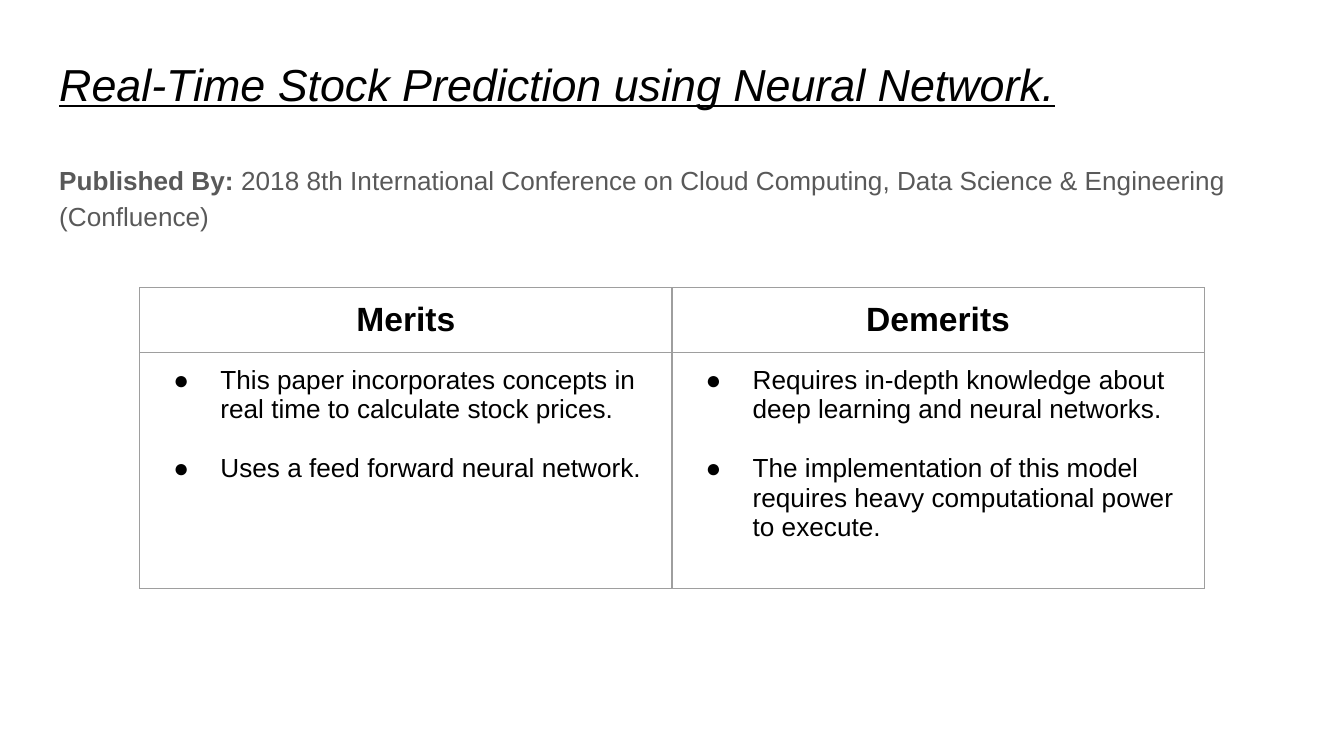
from dataclasses import dataclass

from lxml.etree import SubElement
from pptx import Presentation
from pptx.dml.color import RGBColor
from pptx.enum.text import MSO_ANCHOR, MSO_AUTO_SIZE, PP_ALIGN
from pptx.oxml.ns import qn
from pptx.util import Inches, Pt


@dataclass(frozen=True)
class Theme:
    font: str = "Arial"
    ink: str = "000000"
    muted: str = "595959"
    border: str = "9E9E9E"
    title: int = 24
    heading: int = 18
    body: int = 14
    border_width: float = 0.75
    inset: float = 0.1


THEME = Theme()
SLIDE_WIDTH = 10
SLIDE_HEIGHT = SLIDE_WIDTH * 9 / 16
TITLE = "Real-Time Stock Prediction using Neural Network."
VENUE = (
    "2018 8th International Conference on Cloud Computing, "
    "Data Science & Engineering (Confluence)"
)
COLUMNS = {
    "Merits": [
        "This paper incorporates concepts in real time to calculate stock prices.",
        "Uses a feed forward neural network.",
    ],
    "Demerits": [
        "Requires in-depth knowledge about deep learning and neural networks.",
        "The implementation of this model requires heavy computational power to execute.",
    ],
}


def add_text(p, text, size=THEME.body, color=THEME.ink, bold=False,
             italic=False, underline=False, align=PP_ALIGN.LEFT):
    p.alignment = align
    r = p.add_run()
    r.text = text
    f = r.font
    f.name, f.size = THEME.font, Pt(size)
    f.bold, f.italic, f.underline = bold, italic, underline
    f.color.rgb = RGBColor.from_string(color)


def set_bullet(p, char=None, left=0, indent=0):
    pPr = p._p.get_or_add_pPr()
    pPr.set("marL", str(Inches(left)))
    pPr.set("indent", str(Inches(indent)))
    if char is None:
        SubElement(pPr, qn("a:buNone"))
        return
    color = SubElement(pPr, qn("a:buClr"))
    SubElement(color, qn("a:srgbClr"), val=THEME.ink)
    SubElement(pPr, qn("a:buFont"), typeface=THEME.font)
    SubElement(pPr, qn("a:buChar"), char=char)


def set_borders(cell):
    tcPr = cell._tc.get_or_add_tcPr()
    for index, side in enumerate(("a:lnL", "a:lnR", "a:lnT", "a:lnB")):
        ln = tcPr.makeelement(qn(side), {"w": str(Pt(THEME.border_width))})
        fill = SubElement(ln, qn("a:solidFill"))
        SubElement(fill, qn("a:srgbClr"), val=THEME.border)
        tcPr.insert(index, ln)


def set_insets(box):
    box.margin_left = box.margin_right = Inches(THEME.inset)
    box.margin_top = box.margin_bottom = Inches(THEME.inset)


def place_text(sp, left, top, width, height):
    sp.left, sp.top = Inches(left), Inches(top)
    sp.width, sp.height = Inches(width), Inches(height)
    tf = sp.text_frame
    tf.word_wrap = True
    tf.auto_size = MSO_AUTO_SIZE.NONE
    tf.vertical_anchor = MSO_ANCHOR.TOP
    set_insets(tf)
    return tf.paragraphs[0]


def add_title(s, left, top, width, height):
    p = place_text(s.shapes.title, left, top, width, height)
    add_text(p, TITLE, size=THEME.title, italic=True, underline=True)


def add_publication(s, left, top, width, height):
    p = place_text(s.placeholders[1], left, top, width, height)
    p.line_spacing = 1.15
    p.space_before = Pt(0)
    set_bullet(p)
    add_text(p, "Published By: ", color=THEME.muted, bold=True)
    add_text(p, VENUE, color=THEME.muted)


def fill_cell(cell, items, bulleted):
    cell.fill.background()
    set_borders(cell)
    set_insets(cell)
    tf = cell.text_frame
    for i, item in enumerate(items):
        p = tf.add_paragraph() if i else tf.paragraphs[0]
        if bulleted:
            p.space_before = Pt(16 if i else 0)
            set_bullet(p, "●", left=0.5, indent=-0.35)
            add_text(p, item)
        else:
            add_text(p, item, size=THEME.heading, bold=True, align=PP_ALIGN.CENTER)


def add_comparison(s, left, top, width, row_heights):
    table = s.shapes.add_table(
        len(row_heights), len(COLUMNS), Inches(left), Inches(top),
        Inches(width), Inches(sum(row_heights)),
    ).table
    table.first_row = table.horz_banding = False
    for row, height in zip(table.rows, row_heights):
        row.height = Inches(height)
    for col, (heading, items) in enumerate(COLUMNS.items()):
        table.columns[col].width = Inches(width / len(COLUMNS))
        fill_cell(table.cell(0, col), [heading], bulleted=False)
        fill_cell(table.cell(1, col), items, bulleted=True)


def main():
    prs = Presentation()
    prs.slide_width, prs.slide_height = Inches(SLIDE_WIDTH), Inches(SLIDE_HEIGHT)
    s = prs.slides.add_slide(prs.slide_layouts[1])
    add_title(s, 0.34, 0.32, 9.32, 0.63)
    add_publication(s, 0.34, 1.09, 9.32, 3.74)
    add_comparison(s, 1.04, 2.14, 7.92, (0.47, 1.76))
    prs.save("out.pptx")


if __name__ == "__main__":
    main()
